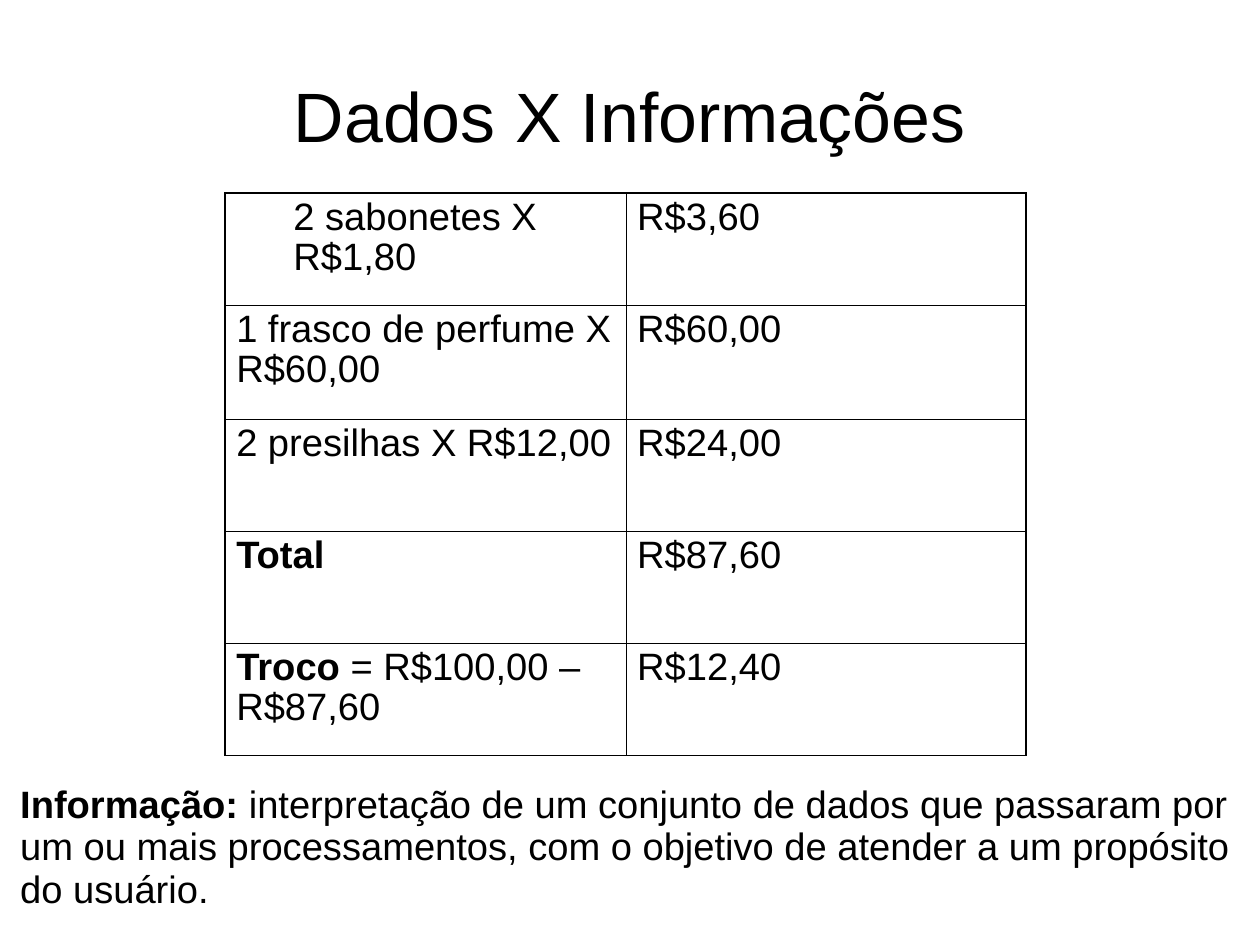
from lxml import etree
from pptx import Presentation
from pptx.dml.color import RGBColor
from pptx.enum.text import MSO_ANCHOR, MSO_AUTO_SIZE, PP_ALIGN
from pptx.oxml.ns import qn
from pptx.util import Emu, Pt

PX = 3600  # 100 px to the centimetre
BLACK = RGBColor(0x00, 0x00, 0x00)
FONT = "Arial"
OUTER, INNER = Pt(1.08), Pt(0.45)

COLS = [891, 889]
ROWS = [249, 254, 249, 249, 249]
# Each item is a list of (text, bold) runs
PURCHASES = [
    ([("2 sabonetes X R$1,80", False)], "R$3,60"),
    ([("1 frasco de perfume X R$60,00", False)], "R$60,00"),
    ([("2 presilhas X R$12,00", False)], "R$24,00"),
    ([("Total", True)], "R$87,60"),
    ([("Troco", True), (" = R$100,00 – R$87,60", False)], "R$12,40"),
]
DEFINITION = [
    [("Informação:", True),
     (" interpretação de um conjunto de dados que passaram por", False)],
    [("um ou mais processamentos, com o objetivo de atender a um propósito", False)],
    [("do usuário.", False)],
]


def px(n):
    return Emu(n * PX)


def add_runs(p, runs, size=24):
    p.line_spacing = 0.93
    for text, bold in runs:
        r = p.add_run()
        r.text = text
        r.font.name, r.font.size, r.font.bold = FONT, Pt(size), bold
        r.font.color.rgb = BLACK


def set_insets(box, left, top, right, bottom):
    box.margin_left, box.margin_top = px(left), px(top)
    box.margin_right, box.margin_bottom = px(right), px(bottom)


def set_borders(cell, widths):
    """Draw black borders; widths maps the side letters L, R, T, B in that order."""
    tc_pr = cell._tc.get_or_add_tcPr()
    for side, width in widths.items():
        ln = etree.SubElement(tc_pr, qn(f"a:ln{side}"), w=str(int(width)))
        fill = etree.SubElement(ln, qn("a:solidFill"))
        etree.SubElement(fill, qn("a:srgbClr"), val=str(BLACK))


def add_title(s, x, y, w, h):
    title = s.shapes.title
    title.left, title.top, title.width, title.height = map(px, (x, y, w, h))
    tf = title.text_frame
    tf.auto_size = MSO_AUTO_SIZE.NONE
    tf.vertical_anchor = MSO_ANCHOR.MIDDLE
    set_insets(tf, 0, 10, 0, 0)
    p = tf.paragraphs[0]
    p.alignment = PP_ALIGN.CENTER
    add_runs(p, [("Dados X Informações", False)], 44)


def add_purchases(s, x, y):
    frame = s.shapes.add_table(len(ROWS), len(COLS), px(x), px(y),
                               px(sum(COLS)), px(sum(ROWS)))
    table = frame.table
    table.first_row = table.horz_banding = False
    for col, width in zip(table.columns, COLS):
        col.width = px(width)
    for row, height in zip(table.rows, ROWS):
        row.height = px(height)

    last_row, last_col = len(ROWS) - 1, len(COLS) - 1
    for i, (item, price) in enumerate(PURCHASES):
        for j, runs in enumerate((item, [(price, False)])):
            cell = table.cell(i, j)
            set_insets(cell, 25, 13, 25, 13)
            set_borders(cell, {
                "L": OUTER if j == 0 else INNER,
                "R": OUTER if j == last_col else INNER,
                "T": OUTER if i == 0 else INNER,
                "B": OUTER if i == last_row else INNER,
            })
            cell.fill.background()
            p = cell.text_frame.paragraphs[0]
            if i == j == 0:
                p.level = 1
                p._p.get_or_add_pPr().set("marL", str(px(127)))
            else:
                p.space_after = Pt(14.3)
            add_runs(p, runs)


def add_definition(s, x, y, w, h):
    tf = s.shapes.add_textbox(*map(px, (x, y, w, h))).text_frame
    tf.word_wrap = True
    tf.auto_size = MSO_AUTO_SIZE.SHAPE_TO_FIT_TEXT
    set_insets(tf, 25, 13, 25, 13)
    for i, runs in enumerate(DEFINITION):
        add_runs(tf.add_paragraph() if i else tf.paragraphs[0], runs)


def main():
    prs = Presentation()
    prs.slide_width, prs.slide_height = px(2800), px(2100)
    s = prs.slides.add_slide(prs.slide_layouts[5])
    add_title(s, 140, 97, 2520, 325)
    add_purchases(s, 500, 429)
    add_definition(s, 20, 1730, 2741, 310)
    prs.save("out.pptx")


if __name__ == "__main__":
    main()
